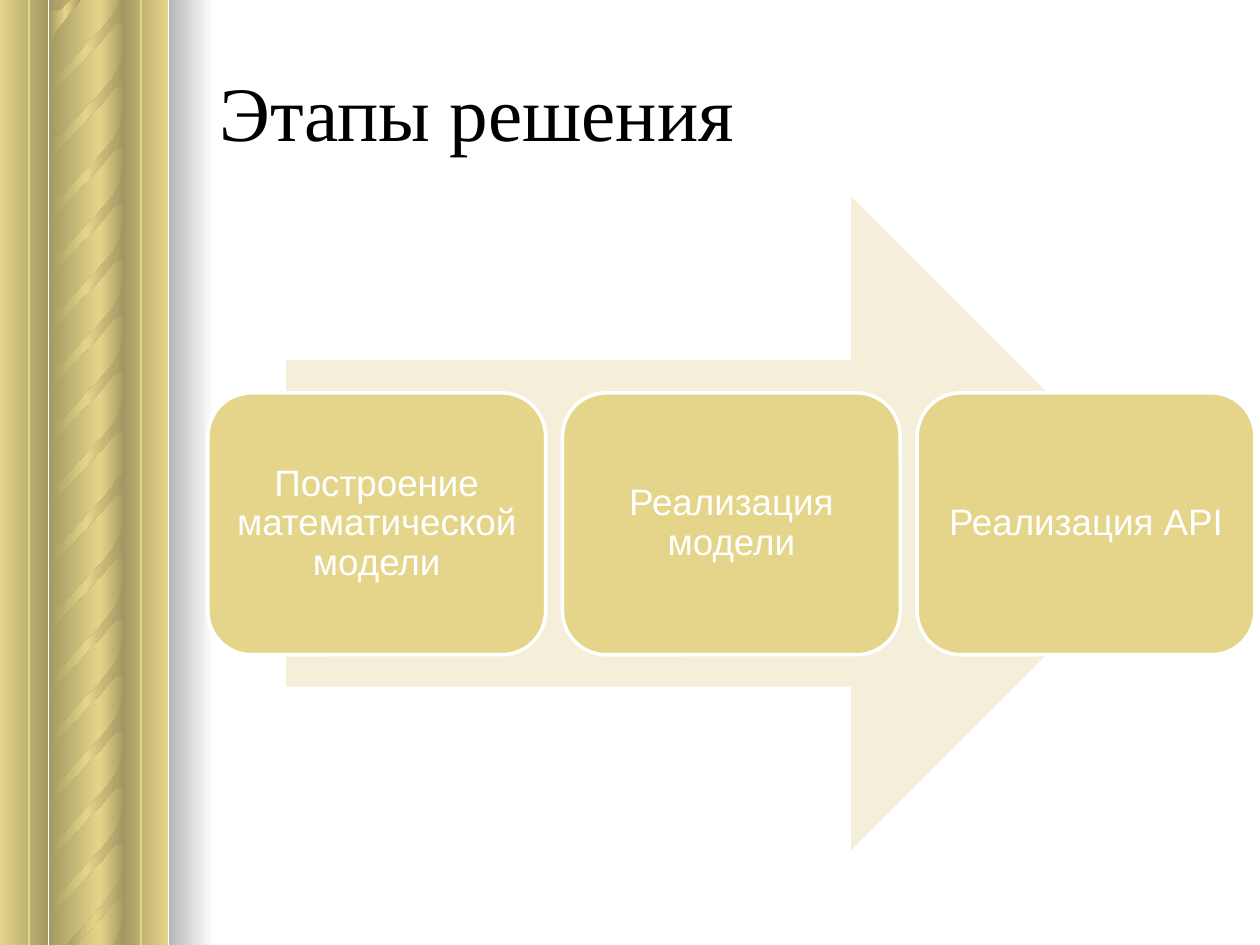
"""Builds the solution stages slide with a carved column on the left."""
import lxml.etree
import pptx
import pptx.dml.color
import pptx.enum.shapes
import pptx.enum.text
import pptx.oxml.ns
import pptx.util

Cm = pptx.util.Cm
Pt = pptx.util.Pt
SHAPES = pptx.enum.shapes.MSO_SHAPE
ALIGN = pptx.enum.text.PP_ALIGN
qn = pptx.oxml.ns.qn

GOLD = pptx.dml.color.RGBColor(0xE5, 0xD5, 0x8A)
CREAM = pptx.dml.color.RGBColor(0xF5, 0xEF, 0xDA)
WHITE = pptx.dml.color.RGBColor(0xFF, 0xFF, 0xFF)
BLACK = pptx.dml.color.RGBColor(0x00, 0x00, 0x00)
SHADE = 46275

HALF_HEIGHT = 9.5
OVERLAP = 0.03
BARS = ((2.01, 0.51, (False, True)), (0, 0.97, (False, True)),
        (0.99, 1.02, (True, False)), (2.49, 0.89, (True, False)))
STRAND = (
    (2.49, 0.23), (2.49, 0.84), (2.46, 0.81), (2.36, 0.81), (2.31, 0.84),
    (2.24, 0.91), (2.06, 1.14), (1.63, 1.6), (1.19, 2.08), (1.12, 2.21),
    (1.04, 2.36), (1.02, 2.57), (0.99, 2.84), (0.99, 1.6), (0.99, 1.73),
    (1.02, 1.78), (1.07, 1.8), (1.12, 1.8), (1.17, 1.8), (1.24, 1.78),
    (2.11, 0.84), (2.29, 0.61), (2.36, 0.48), (2.41, 0.36), (2.46, 0.15),
    (2.49, 0), (2.49, 0.51))
LOWER_STRAND = STRAND[:8] + ((1.52, 1.73), (1.32, 1.73)) + STRAND[20:]
BOTTOM_TIP = ((2.49, 0.23), (2.49, 0.64), (0.97, 0.66), (2.29, 0.64)) + STRAND[22:]
TOP_CORNER = (
    (1.65, 0), (1.22, 0.53), (1.12, 0.66), (1.07, 0.81), (1.04, 1.02),
    (0.99, 1.3), (0.99, 0.05), (1.02, 0.18), (1.04, 0.23), (1.07, 0.25),
    (1.12, 0.25), (1.19, 0.25), (1.24, 0.23), (1.47, 0))
STRAND_PITCH = 1.13

STAGES = ("Построение математической модели", "Реализация модели", "Реализация API")
STAGE_LEFT, STAGE_PITCH = 4.19, 7.15


def set_gradient(shape, colour, shaded_stops):
    """Fill the shape from left to right, shading the stops marked True."""
    shape.shadow.inherit = False
    shape.line.fill.background()
    shape.fill.gradient()
    shape.fill.gradient_angle = 0
    stops = shape._element.spPr.find(qn("a:gradFill")).find(qn("a:gsLst"))
    for stop in list(stops):
        stops.remove(stop)
    for index, shaded in enumerate(shaded_stops):
        position = 100000 * index // (len(shaded_stops) - 1)
        stop = lxml.etree.SubElement(stops, qn("a:gs"), pos=str(position))
        tone = lxml.etree.SubElement(stop, qn("a:srgbClr"), val=str(colour))
        if shaded:
            lxml.etree.SubElement(tone, qn("a:shade"), val=str(SHADE))


def add_bar(slide, left, top, width, height, colour, shaded_stops):
    """Add a vertical gradient bar."""
    bar = slide.shapes.add_shape(
        SHAPES.RECTANGLE, Cm(left), Cm(top), Cm(width), Cm(height))
    set_gradient(bar, colour, shaded_stops)


def add_strand(slide, top, outline=STRAND, ceiling=-OVERLAP):
    """Add one twist of the rope, cut off above the ceiling."""
    points = [(Cm(x), Cm(max(top + y, ceiling))) for x, y in outline]
    builder = slide.shapes.build_freeform(*points[0])
    builder.add_line_segments(points[1:])
    set_gradient(builder.convert_to_shape(), GOLD, (True, False, True))


def add_column_half(slide, start, end_top, end_outline):
    """Add the bars and the rope of one half of the column."""
    ceiling = start - OVERLAP
    for left, width, shaded_stops in BARS:
        add_bar(slide, left, ceiling, width, 9.58, GOLD, shaded_stops)
    for index in range(5):
        add_strand(slide, start + 2.18 + index * STRAND_PITCH)
    add_strand(slide, end_top, end_outline)
    add_strand(slide, start + 0.94)
    add_strand(slide, start - 0.33, ceiling=ceiling)


def add_groove(slide, x):
    """Add a thin vertical line along the column."""
    groove = slide.shapes.add_connector(
        pptx.enum.shapes.MSO_CONNECTOR.STRAIGHT, Cm(x), 0, Cm(x), Cm(19.05))
    groove.line.color.rgb = GOLD
    groove.line.width = Pt(1)
    lxml.etree.SubElement(groove._element.spPr, qn("a:effectLst"))


def write_text(frame, text, alignment, font_format, **frame_format):
    """Write one formatted paragraph into a text frame."""
    frame_format.update(
        word_wrap=True, vertical_anchor=pptx.enum.text.MSO_ANCHOR.MIDDLE)
    for name, value in frame_format.items():
        setattr(frame, name, value)
    paragraph = frame.paragraphs[0]
    paragraph.alignment = alignment
    run = paragraph.add_run()
    run.text = text
    colour = font_format["colour"]
    run.font.color.rgb = colour
    for name in ("name", "size"):
        setattr(run.font, name, font_format[name])
    return paragraph


def add_title(slide, text):
    """Add the slide heading."""
    heading = slide.shapes.add_textbox(Cm(4.17), Cm(0.64), Cm(20.8), Cm(3.18))
    write_text(heading.text_frame, text, ALIGN.LEFT,
               {"name": "Times New Roman", "size": Pt(44), "colour": BLACK})


def add_solid(slide, preset, left, top, width, height, colour):
    """Add a plain filled preset shape without an outline."""
    solid = slide.shapes.add_shape(preset, Cm(left), Cm(top), Cm(width), Cm(height))
    solid.shadow.inherit = False
    solid.fill.solid()
    solid.fill.fore_color.rgb = colour
    solid.line.fill.background()
    return solid


def add_stage(slide, left, text):
    """Add a rounded card naming one stage."""
    card = add_solid(slide, SHAPES.ROUNDED_RECTANGLE, left, 7.92, 6.81, 5.28, GOLD)
    card.line.color.rgb = WHITE
    card.line.width = Pt(2)
    inset = Cm(0.23)
    paragraph = write_text(
        card.text_frame, text, ALIGN.CENTER,
        {"name": "Arial", "size": Pt(21), "colour": WHITE},
        margin_left=inset, margin_right=inset, margin_top=inset, margin_bottom=inset)
    paragraph.line_spacing = 0.9


def main():
    """Build and save the slide."""
    deck = pptx.Presentation()
    deck.slide_width, deck.slide_height = Cm(25.4), Cm(19.05)
    slide = deck.slides.add_slide(deck.slide_layouts[6])

    add_column_half(slide, HALF_HEIGHT, 17.35, LOWER_STRAND)
    add_column_half(slide, 0, 18.42, BOTTOM_TIP)
    add_strand(slide, -OVERLAP, TOP_CORNER)
    add_strand(slide, 7.92)
    add_bar(slide, 3.4, 0, 0.91, 19.05, WHITE, (True, False))
    for x in (0.58, 2.84):
        add_groove(slide, x)

    add_title(slide, "Этапы решения")
    add_solid(slide, SHAPES.RIGHT_ARROW, 5.77, 3.96, 17.98, 13.18, CREAM)
    for index, stage in enumerate(STAGES):
        add_stage(slide, STAGE_LEFT + index * STAGE_PITCH, stage)
    deck.save("out.pptx")


if __name__ == "__main__":
    main()
